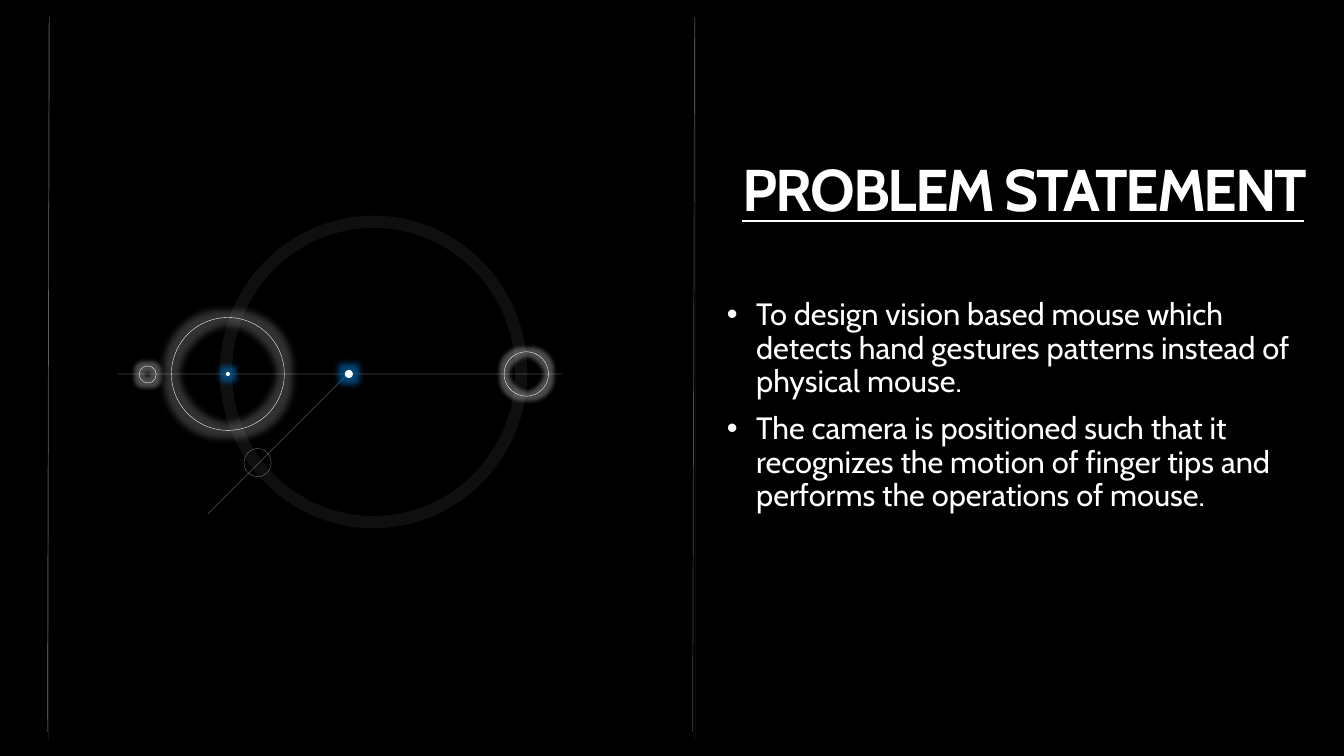
from lxml import etree
from pptx import Presentation
from pptx.dml.color import RGBColor
from pptx.enum.dml import MSO_LINE
from pptx.enum.shapes import MSO_CONNECTOR, MSO_SHAPE
from pptx.enum.text import MSO_ANCHOR, MSO_AUTO_SIZE, PP_ALIGN
from pptx.oxml.ns import qn
from pptx.util import Inches, Pt

ELLIPSE, RECTANGLE = MSO_SHAPE.OVAL, MSO_SHAPE.RECTANGLE
STRAIGHT = MSO_CONNECTOR.STRAIGHT
SHORT_DASH = MSO_LINE.SQUARE_DOT
FONT = "Cabin"
WHITE, BLACK, PALE, GREY, BLUE = "FFFFFF", "000000", "E7E6E6", "808080", "0070C0"


def paint(color_format, color, opacity=100):
    """Set a colour, and its opacity in percent."""
    color_format.rgb = RGBColor.from_string(color)
    if opacity < 100:
        for srgb in color_format._xFill.iter(qn("a:srgbClr")):
            etree.SubElement(srgb, qn("a:alpha"), val=str(opacity * 1000))


def style_text(paragraph, size, bold=False):
    paragraph.line_spacing = 0.9
    paragraph.font.name = FONT
    paragraph.font.size = Pt(size)
    paragraph.font.bold = bold
    paint(paragraph.font.color, WHITE)


prs = Presentation()
prs.slide_width, prs.slide_height = Inches(13.33), Inches(7.5)
slide = prs.slides.add_slide(prs.slide_layouts[5])
slide.background.fill.solid()
paint(slide.background.fill.fore_color, BLACK)

# Dark panel behind the lower left half
panel = slide.shapes.add_shape(
    RECTANGLE, Inches(0.48), Inches(4.26), Inches(6.43), Inches(3.13))
panel.shadow.inherit = False
panel.fill.solid()
paint(panel.fill.fore_color, BLACK, 70)
panel.line.fill.background()

# Straight lines: x1, y1, x2, y2, colour, width, opacity
lines = [
    (6.9, 0.23, 6.9, 7.33, "F2F2F2", 0.25, 15),   # panel edges
    (0.48, 0.23, 0.48, 7.33, "F2F2F2", 0.25, 15),
    (0.49, 0.17, 0.47, 7.26, WHITE, 0.5, 30),
    (6.89, 0.17, 6.87, 7.26, WHITE, 0.5, 30),
    (1.17, 3.71, 5.57, 3.71, PALE, 0.5, 30),      # orbit axes
    (2.06, 5.1, 3.45, 3.71, PALE, 0.5, 30),
    (7.36, 2.19, 12.93, 2.19, WHITE, 1.25, 100),  # title rule
]
for x1, y1, x2, y2, color, width, opacity in lines:
    line = slide.shapes.add_connector(
        STRAIGHT, Inches(x1), Inches(y1), Inches(x2), Inches(y2))
    line.line.width = Pt(width)
    line.line.fill.solid()
    paint(line.line.fill.fore_color, color, opacity)
    etree.SubElement(line._element.spPr, qn("a:effectLst"))

# Rings: left, top, width, height, colour, line width, opacity, dash, glow
# Dots have no line width; a glow is colour, radius in points, opacity
circles = [
    (1.7, 3.15, 1.12, 1.12, WHITE, 0.25, 100, None, (WHITE, 10, 20)),
    (5, 3.49, 0.44, 0.44, WHITE, 0.25, 100, None, (WHITE, 6, 30)),
    (2.24, 2.2, 2.93, 2.98, WHITE, 8.75, 6, None, None),
    (2.42, 4.45, 0.27, 0.28, GREY, 0.25, 100, SHORT_DASH, None),
    (1.38, 3.63, 0.17, 0.17, WHITE, 0.25, 100, None, (WHITE, 6, 30)),
    (3.42, 3.67, 0.08, 0.08, WHITE, 0, 100, None, (BLUE, 9, 60)),
    (2.24, 3.69, 0.04, 0.04, WHITE, 0, 100, None, (BLUE, 8, 60)),
]
for left, top, width, height, color, weight, opacity, dash, glow in circles:
    circle = slide.shapes.add_shape(
        ELLIPSE, Inches(left), Inches(top), Inches(width), Inches(height))
    circle.shadow.inherit = False
    if weight:
        circle.fill.background()
        circle.line.width = Pt(weight)
        circle.line.fill.solid()
        paint(circle.line.fill.fore_color, color, opacity)
        if dash:
            circle.line.dash_style = dash
    else:
        circle.fill.solid()
        paint(circle.fill.fore_color, color)
        circle.line.fill.background()
    if glow:
        glow_color, radius, glow_opacity = glow
        effects = circle._element.spPr.find(qn("a:effectLst"))
        halo = etree.SubElement(effects, qn("a:glow"), rad=str(Pt(radius)))
        tint = etree.SubElement(halo, qn("a:srgbClr"), val=glow_color)
        etree.SubElement(tint, qn("a:alpha"), val=str(glow_opacity * 1000))

# Title
title = slide.shapes.title
title.left, title.top = Inches(6.87), Inches(1.45)
title.width, title.height = Inches(6.59), Inches(0.77)
title.text_frame.text = "PROBLEM STATEMENT"
heading = title.text_frame.paragraphs[0]
heading.alignment = PP_ALIGN.CENTER
style_text(heading, 42, bold=True)
heading.runs[0].font._element.set("spc", "-150")

# Problem points
points = slide.shapes.add_textbox(
    Inches(7.21), Inches(2.97), Inches(5.84), Inches(2.98))
points.text_frame.text = "\n".join([
    "To design vision based mouse which detects hand gestures patterns "
    "instead of physical mouse.",
    "The camera is positioned such that it recognizes the motion of "
    "finger tips and performs the operations of mouse.",
])
for index, point in enumerate(points.text_frame.paragraphs):
    props = point._p.get_or_add_pPr()
    props.set("marL", str(Inches(0.29)))
    props.set("indent", str(Inches(-0.29)))
    etree.SubElement(props, qn("a:buFont"), typeface="Arial")
    etree.SubElement(props, qn("a:buChar"), char="•")
    style_text(point, 22)
    if index:
        point.space_before = Pt(10)

for box, anchor in ((title, MSO_ANCHOR.BOTTOM), (points, MSO_ANCHOR.TOP)):
    frame = box.text_frame
    frame.word_wrap = True
    frame.auto_size = MSO_AUTO_SIZE.NONE
    frame.vertical_anchor = anchor
    frame.margin_left = frame.margin_right = 0
    frame.margin_top = frame.margin_bottom = 0

prs.save("out.pptx")
